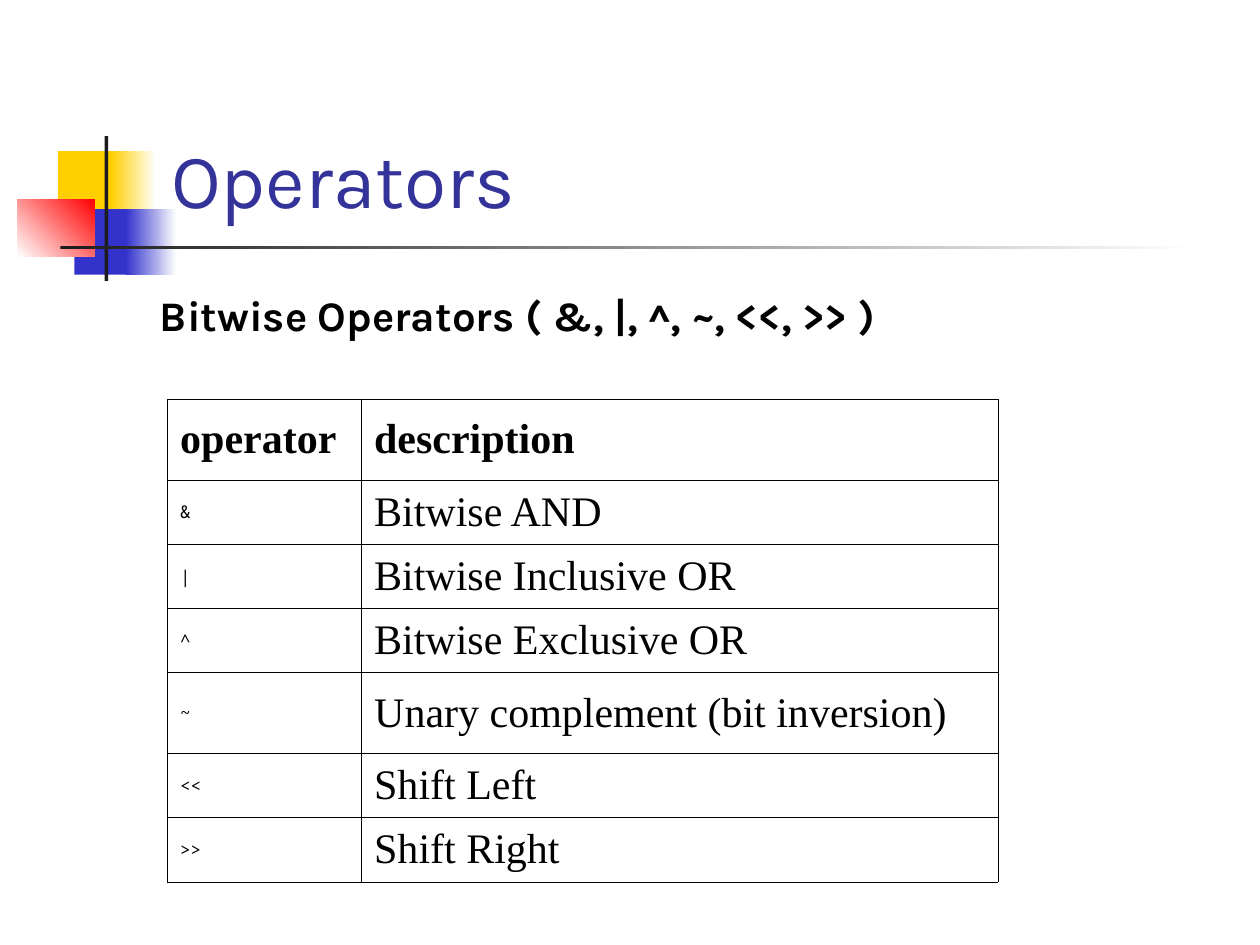
"""Build a slide that lists the bitwise operators."""
import dataclasses

import lxml.etree
import pptx
import pptx.dml.color
import pptx.enum.shapes
import pptx.enum.text
import pptx.oxml.ns
import pptx.util

Inches = pptx.util.Inches
Pt = pptx.util.Pt
Color = pptx.dml.color.RGBColor
Anchor = pptx.enum.text.MSO_ANCHOR

WHITE = Color(0xFF, 0xFF, 0xFF)
BLACK = Color(0x00, 0x00, 0x00)
GOLD = Color(0xFF, 0xCF, 0x01)
BLUE = Color(0x33, 0x33, 0xCC)
RED = Color(0xFF, 0x00, 0x00)
DARK = Color(0x1C, 0x1C, 0x1C)
NAVY = Color(0x33, 0x33, 0x99)


@dataclasses.dataclass(frozen=True)
class Block:
    left: float
    top: float
    width: float
    height: float
    start: Color
    end: Color | None = None
    angle: float = 0


@dataclasses.dataclass(frozen=True)
class Style:
    font: str
    size: float
    color: Color = BLACK
    bold: bool = False


@dataclasses.dataclass(frozen=True)
class Label:
    left: float
    top: float
    width: float
    height: float
    text: str
    style: Style
    anchor: Anchor


@dataclasses.dataclass(frozen=True)
class Row:
    sign: str
    meaning: str
    height: float = 0.51


BLOCKS = [
    Block(0.46, 1.2, 0.48, 0.52, GOLD),
    Block(0.88, 1.2, 0.36, 0.52, GOLD, WHITE),
    Block(0.59, 1.66, 0.46, 0.52, BLUE),
    Block(1, 1.66, 0.4, 0.52, BLUE, WHITE),
    Block(0.14, 1.58, 0.61, 0.46, WHITE, RED, 45),
    Block(0.83, 1.08, 0.03, 1.15, DARK),
    Block(0.48, 1.95, 9, 0.03, DARK, WHITE),
]
LABELS = [
    Label(1.26, 0.23, 8.52, 1.6, "Operators",
          Style("Karla", 44, NAVY), Anchor.BOTTOM),
    Label(1.17, 2.25, 6.91, 0.9, "Bitwise Operators ( &, |, ^, ~, <<, >> )",
          Style("Karla", 24, bold=True), Anchor.TOP),
]
HEAD = Style("Times New Roman", 24, bold=True)
CODE = Style("Noto Sans Mono", 10)
BODY = Style("Times New Roman", 24)
WIDTHS = [1.54, 5.05]
ROWS = [
    Row("operator", "description", 0.64),
    Row("&", "Bitwise AND"),
    Row("|", "Bitwise Inclusive OR"),
    Row("^", "Bitwise Exclusive OR"),
    Row("~", "Unary complement (bit inversion)", 0.64),
    Row("<<", "Shift Left"),
    Row(">>", "Shift Right"),
]


def write(frame, text: str, style: Style) -> None:
    run = frame.paragraphs[0].add_run()
    run.text = text
    run.font.name = style.font
    run.font.size = Pt(style.size)
    run.font.bold = style.bold
    run.font.color.rgb = style.color


def draw_block(slide, block: Block) -> None:
    shape = slide.shapes.add_shape(
        pptx.enum.shapes.MSO_SHAPE.RECTANGLE, Inches(block.left),
        Inches(block.top), Inches(block.width), Inches(block.height))
    shape.shadow.inherit = False
    shape.line.fill.background()
    if block.end is None:
        shape.fill.solid()
        shape.fill.fore_color.rgb = block.start
        return
    shape.fill.gradient()
    shape.fill.gradient_angle = block.angle
    for stop, color in zip(shape.fill.gradient_stops, (block.start, block.end)):
        stop.color.rgb = color


def draw_label(slide, label: Label) -> None:
    frame = slide.shapes.add_textbox(
        Inches(label.left), Inches(label.top),
        Inches(label.width), Inches(label.height)).text_frame
    frame.word_wrap = True
    frame.vertical_anchor = label.anchor
    write(frame, label.text, label.style)


def add_edges(cell) -> None:
    qn = pptx.oxml.ns.qn
    props = cell._tc.get_or_add_tcPr()
    for place, side in enumerate("LRTB"):
        edge = lxml.etree.Element(qn(f"a:ln{side}"), w=str(Pt(0.45)))
        fill = lxml.etree.SubElement(edge, qn("a:solidFill"))
        lxml.etree.SubElement(fill, qn("a:srgbClr"), val=str(BLACK))
        props.insert(place, edge)


def draw_table(slide, rows: list[Row]) -> None:
    table = slide.shapes.add_table(
        len(rows), len(WIDTHS), Inches(1.33), Inches(3.17),
        Inches(sum(WIDTHS)), Inches(sum(row.height for row in rows))).table
    table.first_row = True
    table.horz_banding = False
    for column, width in zip(table.columns, WIDTHS):
        column.width = Inches(width)
    for index, row in enumerate(rows):
        table.rows[index].height = Inches(row.height)
        styles = (CODE, BODY) if index else (HEAD, HEAD)
        texts = (row.sign, row.meaning)
        for cell, text, style in zip(table.rows[index].cells, texts, styles):
            cell.fill.background()
            cell.vertical_anchor = Anchor.MIDDLE
            add_edges(cell)
            write(cell.text_frame, text, style)


def main() -> None:
    deck = pptx.Presentation()
    deck.slide_width = Inches(10)
    deck.slide_height = Inches(7.5)
    slide = deck.slides.add_slide(deck.slide_layouts[6])
    for block in BLOCKS:
        draw_block(slide, block)
    for label in LABELS:
        draw_label(slide, label)
    draw_table(slide, ROWS)
    deck.save("out.pptx")


if __name__ == "__main__":
    main()
